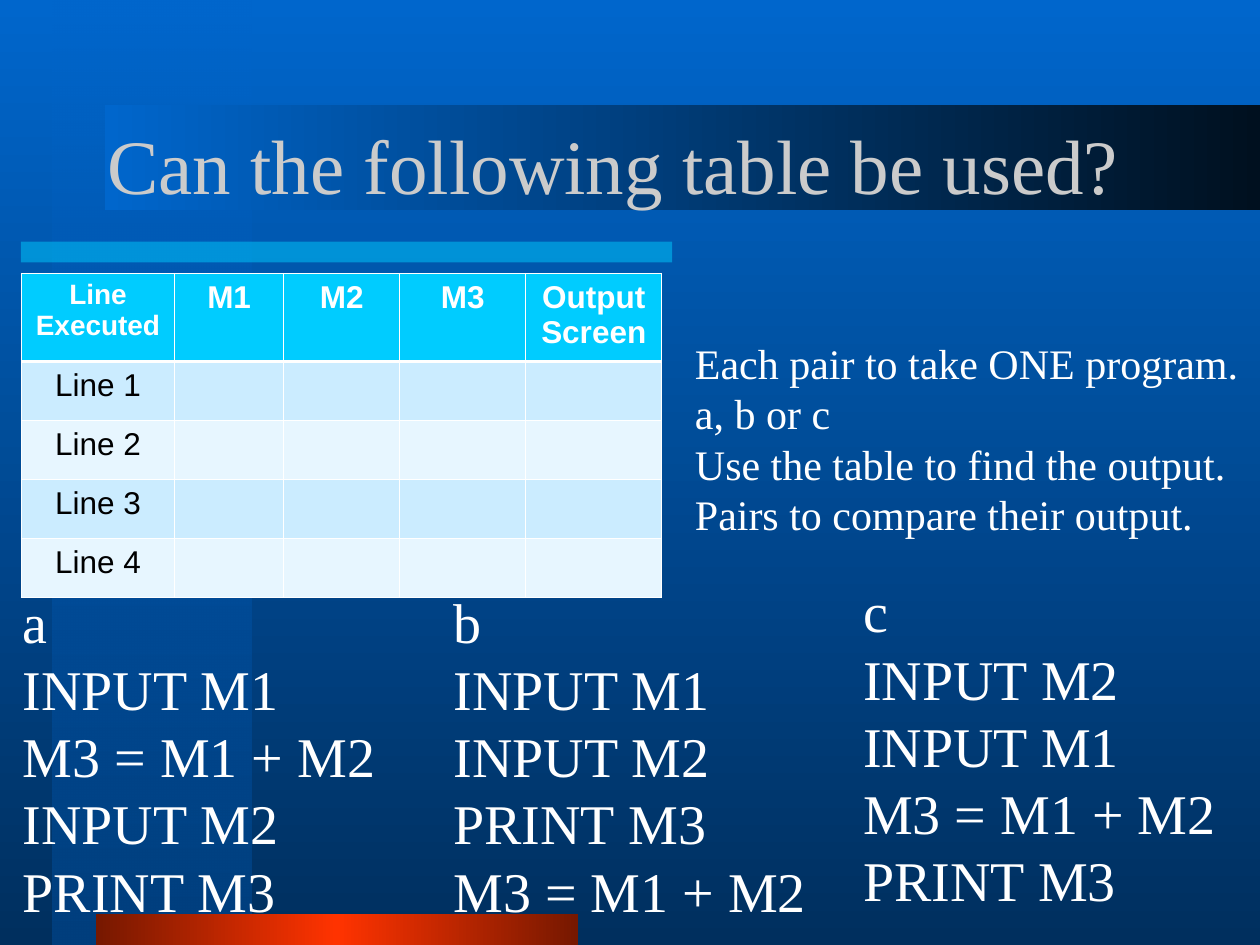
from lxml.etree import SubElement
from pptx import Presentation
from pptx.dml.color import RGBColor
from pptx.enum.shapes import MSO_SHAPE
from pptx.enum.text import MSO_ANCHOR, MSO_AUTO_SIZE, PP_ALIGN
from pptx.oxml.ns import qn
from pptx.util import Cm, Pt

SERIF, SANS = "Times New Roman", "Arial"
WHITE, BLACK, CYAN = "FFFFFF", "000000", "00CCFF"
ROW_TINTS = ("CBECFF", "E7F6FF")
COL_WIDTHS = (3.09, 2.2, 2.34, 2.54, 2.74)
HEADERS = (["Line Executed"], ["M1"], ["M2"], ["M3"], ["Output", "Screen"])
HEADER_HEIGHT, ROW_HEIGHT = 1.78, 1.19
PROGRAMS = (
    (0.21, 11.64, 8.04, ["a", "INPUT M1", "M3 = M1 + M2", "INPUT M2", "PRINT M3"]),
    (8.89, 11.64, 8.26, ["b", "INPUT M1", "INPUT M2", "PRINT M3", "M3 = M1 + M2"]),
    (17.15, 11.43, 8.26, ["c", "INPUT M2", "INPUT M1", "M3 = M1 + M2", "PRINT M3"]),
)
TASK = [
    "Each pair to take ONE program.",
    "a, b or c",
    "Use the table to find the output.",
    "Pairs to compare their output.",
]


def rgb(color):
    return RGBColor.from_string(color)


def add_color(parent, color, opacity=100):
    clr = SubElement(parent, qn("a:srgbClr"), val=color)
    if opacity < 100:
        SubElement(clr, qn("a:alpha"), val=str(opacity * 1000))


def set_gradient(fill, element, stops, angle):
    """Fill with (percent, colour[, opacity]) stops; element holds the fill."""
    fill.gradient()
    fill.gradient_angle = angle
    gs_lst = next(element.iter(qn("a:gsLst")))
    for gs in list(gs_lst):
        gs_lst.remove(gs)
    for position, *color in stops:
        add_color(SubElement(gs_lst, qn("a:gs"), pos=str(position * 1000)), *color)


def add_band(slide, left, top, width, height):
    sp = slide.shapes.add_shape(
        MSO_SHAPE.RECTANGLE, Cm(left), Cm(top), Cm(width), Cm(height))
    sp.shadow.inherit = False
    sp.line.fill.background()
    return sp


def add_gradient_band(slide, box, stops, angle=0):
    sp = add_band(slide, *box)
    set_gradient(sp.fill, sp.element, stops, angle)


def add_tinted_band(slide, box, color, opacity):
    sp = add_band(slide, *box)
    sp.fill.solid()
    sp.fill.fore_color.rgb = rgb(color)
    clr = next(sp.element.spPr.iter(qn("a:srgbClr")))
    SubElement(clr, qn("a:alpha"), val=str(opacity * 1000))


def write_lines(tf, lines, size, color, font=SERIF, bold=False,
                align=PP_ALIGN.LEFT, spacing=None):
    for i, line in enumerate(lines):
        p = tf.add_paragraph() if i else tf.paragraphs[0]
        p.alignment = align
        p.line_spacing = spacing
        r = p.add_run()
        r.text = line
        r.font.name = font
        r.font.size = Pt(size)
        r.font.bold = bold
        r.font.color.rgb = rgb(color)


def set_title(slide, text):
    title = slide.shapes.title
    title.left, title.top, title.width, title.height = (
        Cm(1.91), Cm(1.7), Cm(21.59), Cm(3.18))
    tf = title.text_frame
    tf.word_wrap = True
    tf.auto_size = MSO_AUTO_SIZE.NONE
    tf.vertical_anchor = MSO_ANCHOR.MIDDLE
    write_lines(tf, [text], 44, "CBCBCB")
    title.element.getparent().append(title.element)  # in front of the bands


def add_text(slide, left, top, width, height, lines, size):
    tf = slide.shapes.add_textbox(
        Cm(left), Cm(top), Cm(width), Cm(height)).text_frame
    tf.word_wrap = True
    tf.auto_size = MSO_AUTO_SIZE.SHAPE_TO_FIT_TEXT
    tf.margin_top = Cm(0.2)
    write_lines(tf, lines, size, WHITE, spacing=Pt(size * 1.2))


def style_cell(cell, color, top=0.45, bottom=0.45):
    tc_pr = cell._tc.get_or_add_tcPr()
    for tag, width in (("lnL", 0.45), ("lnR", 0.45), ("lnT", top), ("lnB", bottom)):
        ln = SubElement(tc_pr, qn(f"a:{tag}"), w=str(Pt(width)))
        add_color(SubElement(ln, qn("a:solidFill")), WHITE)
    cell.fill.solid()
    cell.fill.fore_color.rgb = rgb(color)


def add_trace_table(slide, left, top, steps):
    height = HEADER_HEIGHT + steps * ROW_HEIGHT
    table = slide.shapes.add_table(
        steps + 1, len(HEADERS), Cm(left), Cm(top),
        Cm(sum(COL_WIDTHS)), Cm(height)).table
    table.first_row = table.horz_banding = False
    for col, width in zip(table.columns, COL_WIDTHS):
        col.width = Cm(width)
    for i, row in enumerate(table.rows):
        row.height = Cm(ROW_HEIGHT if i else HEADER_HEIGHT)
        for j, cell in enumerate(row.cells):
            if i == 0:
                style_cell(cell, CYAN, bottom=1.47)
                write_lines(cell.text_frame, HEADERS[j], 18 if j else 16, WHITE,
                            SANS, True, PP_ALIGN.CENTER)
            else:
                style_cell(cell, ROW_TINTS[(i - 1) % 2], top=1.47 if i == 1 else 0.45)
                if j == 0:
                    write_lines(cell.text_frame, [f"Line {i}"], 18, BLACK,
                                SANS, align=PP_ALIGN.CENTER)


def add_backdrop(slide):
    set_gradient(slide.background.fill, slide.element,
                 [(0, "0066CC"), (100, "002F5E")], 270)
    add_gradient_band(slide, (1.06, 0, 4.02, 19.05),
                      [(0, "0066CC", 50), (100, "003F7E")], 270)
    add_tinted_band(slide, (0.42, 4.87, 13.13, 0.42), CYAN, 50)
    add_gradient_band(slide, (1.93, 18.42, 9.72, 0.63),
                      [(0, "761800"), (50, "FF3300"), (100, "761800")])
    add_gradient_band(slide, (2.12, 2.12, 23.28, 2.12),
                      [(0, "0066CC"), (100, "00101F")])


def main():
    prs = Presentation()
    prs.slide_width, prs.slide_height = Cm(25.4), Cm(19.05)
    slide = prs.slides.add_slide(prs.slide_layouts[5])
    add_backdrop(slide)
    set_title(slide, "Can the following table be used?")
    add_trace_table(slide, 0.43, 5.51, steps=4)
    for left, top, width, lines in PROGRAMS:
        add_text(slide, left, top, width, 7.04, lines, 32)
    add_text(slide, 13.76, 6.6, 11.64, 4.32, TASK, 24)
    prs.save("out.pptx")


if __name__ == "__main__":
    main()
